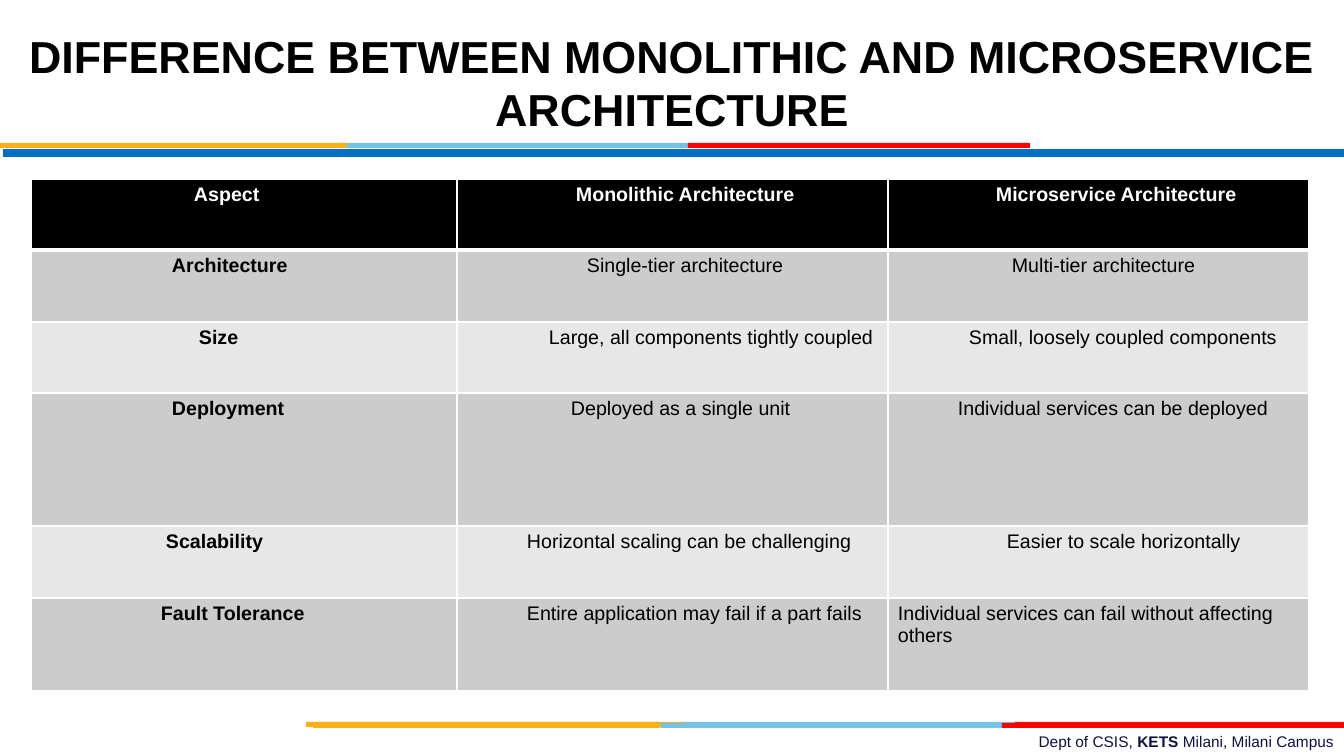
from lxml.etree import SubElement
from pptx import Presentation
from pptx.dml.color import RGBColor as Rgb
from pptx.enum.shapes import MSO_CONNECTOR as Conn, MSO_SHAPE as Shape
from pptx.enum.text import MSO_ANCHOR as Anchor, PP_ALIGN as Align
from pptx.oxml.ns import qn
from pptx.util import Emu, Pt

SCALE = 914400 / 100.8
WIDE, HIGH = 1344, 756
HUES = {
    "white": "FFFFFF", "black": "000000", "navy": "101141", "blue": "0070C0",
    "sky": "76C2E5", "gold": "FCB017", "red": "FF0000", "brick": "E31C24",
    "dark": "CCCCCC", "light": "E7E7E7",
}
COLS = [426, 431, 421]
TALL = [71, 72, 71, 133, 72, 93]
PAD = 10
# Each cell: text and its indent in px
ROWS = [
    [("Aspect", 153), ("Monolithic Architecture", 109), ("Microservice Architecture", 98)],
    [("Architecture", 131), ("Single-tier architecture", 120), ("Multi-tier architecture", 114)],
    [("Size", 158), ("Large, all components tightly coupled", 82),
     ("Small, loosely coupled components", 71)],
    [("Deployment", 131), ("Deployed as a single unit", 104),
     ("Individual services can be deployed", 60)],
    [("Scalability", 125), ("Horizontal scaling can be challenging", 60),
     ("Easier to scale horizontally", 109)],
    [("Fault Tolerance", 120), ("Entire application may fail if a part fails", 60),
     ("Individual services can fail without affecting others", 0)],
]


def px(n):
    return Emu(round(n * SCALE))


def tint(name):
    return Rgb.from_string(HUES[name])


def write(para, text, size=14, hue="black", bold=False, align=Align.LEFT):
    para.alignment = align
    run = para.add_run()
    run.text = text
    font = run.font
    font.name, font.size, font.bold = "Arial", Pt(size), bold
    font.color.rgb = tint(hue)


def frame(slide, x, y, w, h, side, edge, anchor=Anchor.TOP):
    body = slide.shapes.add_textbox(px(x), px(y), px(w), px(h)).text_frame
    body.word_wrap = True
    body.vertical_anchor = anchor
    body.margin_left = body.margin_right = px(side)
    body.margin_top = body.margin_bottom = px(edge)
    return body.paragraphs[0]


def strip(slide, y, bars):
    for x, w, hue in bars:
        bar = slide.shapes.add_shape(Shape.RECTANGLE, px(x), px(y), px(w), px(5))
        bar.shadow.inherit = False
        bar.fill.solid()
        bar.fill.fore_color.rgb = tint(hue)
        bar.line.fill.background()


def header(slide, x, y, w, h):
    # Coloured strip and blue rule under the title
    strip(slide, y + 124, [(x + 347, 342, "sky"), (x, 347, "gold"), (x + 688, 342, "red")])
    rule = slide.shapes.add_connector(
        Conn.STRAIGHT, px(x + 3), px(y + 134), px(x + w), px(y + 134))
    rule.line.color.rgb = tint("blue")
    rule.line.width = Pt(6)
    SubElement(rule._element.spPr, qn("a:effectLst"))
    # Title
    para = frame(slide, x, y, w, h, 13, 7, Anchor.MIDDLE)
    write(para, "DIFFERENCE BETWEEN MONOLITHIC AND MICROSERVICE ARCHITECTURE",
          size=32, bold=True, align=Align.CENTER)


def footer(slide, x, y, w, h):
    # Department line
    para = frame(slide, x, y + 5, w, h - 5, 10, 5)
    for text, bold in [("Dept of CSIS, ", False), ("KETS", True),
                       (" Milani, Milani Campus", False)]:
        write(para, text, size=11, hue="navy", bold=bold, align=Align.RIGHT)
    # Two overlapping strips
    strip(slide, y, [(x + 198, 343, "sky"), (x + 533, 329, "brick"), (x - 176, 379, "gold")])
    strip(slide, y + 1, [(x + 179, 343, "sky"), (x - 169, 347, "gold"), (x + 520, 342, "red")])


def border(cell, top, base):
    props = cell._tc.get_or_add_tcPr()
    for at, (tag, size) in enumerate([("lnL", 1), ("lnR", 1), ("lnT", top), ("lnB", base)]):
        line = props.makeelement(qn(f"a:{tag}"), {"w": str(Pt(size))})
        fill = SubElement(line, qn("a:solidFill"))
        SubElement(fill, qn("a:srgbClr"), val=HUES["white"])
        props.insert(at, line)


def grid(slide, x, y):
    table = slide.shapes.add_table(
        len(ROWS), len(COLS), px(x), px(y), px(sum(COLS)), px(sum(TALL))).table
    for col, w in zip(table.columns, COLS):
        col.width = px(w)
    for r, items in enumerate(ROWS):
        table.rows[r].height = px(TALL[r])
        head = r == 0
        fill = "black" if head else "dark" if r % 2 else "light"
        for c, (text, dent) in enumerate(items):
            cell = table.cell(r, c)
            cell.fill.solid()
            cell.fill.fore_color.rgb = tint(fill)
            cell.margin_left, cell.margin_right = px(PAD + dent), px(PAD)
            cell.margin_top = cell.margin_bottom = px(5)
            border(cell, 3 if r == 1 else 1, 3 if head else 1)
            write(cell.text_frame.paragraphs[0], text,
                  hue="white" if head else "black", bold=head or c == 0)


def main():
    deck = Presentation()
    deck.slide_width, deck.slide_height = px(WIDE), px(HIGH)
    slide = deck.slides.add_slide(deck.slide_layouts[6])
    footer(slide, 482, 722, 862, 34)
    header(slide, 0, 19, WIDE, 126)
    grid(slide, 31, 179)
    deck.save("out.pptx")


if __name__ == "__main__":
    main()
